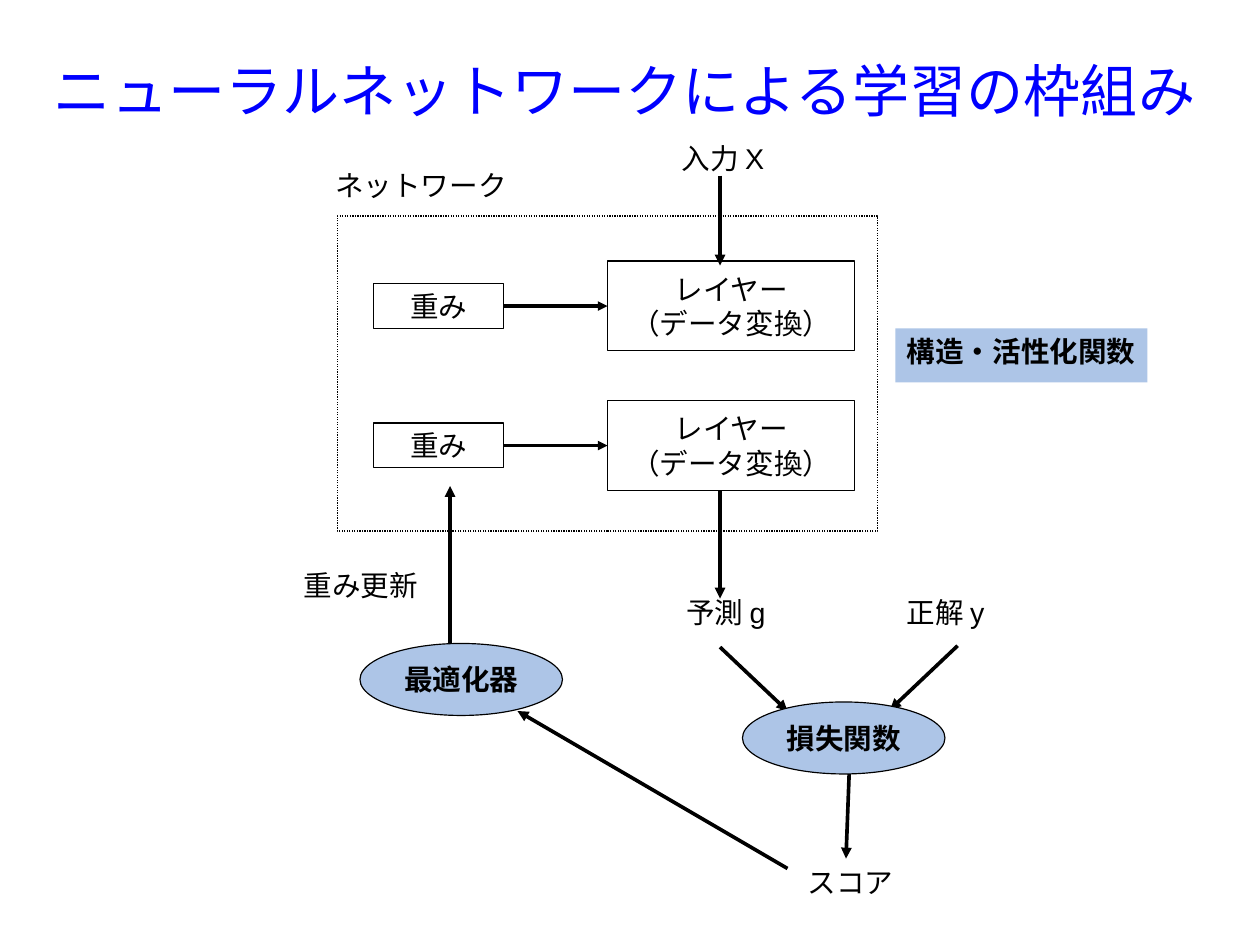
from pptx import Presentation
from pptx import util as u
from pptx.dml.color import RGBColor
from pptx.enum import dml, shapes, text
from pptx.oxml import parse_xml
from pptx.oxml.ns import nsdecls

# Content: lengths are centimetres
TITLE = ("ニューラルネットワークによる学習の枠組み", (1.2, 0.1, 25.8, 3.8))
NETWORK_FRAME = (7.5, 4.8, 12, 7)
LAYER_TEXT, WEIGHT_TEXT = "レイヤー\n（データ変換）", "重み"
LAYER_CENTRES = (6.8, 9.9)
LAYER_LEFT, LAYER_SIZE = 13.5, (5.5, 2)
WEIGHT_LEFT, WEIGHT_SIZE = 8.3, (2.9, 1)
LABELS = [
    ("ネットワーク", (7.2, 3.6, 4.32, 1.2)),
    ("入力 X", (14.9, 3, 2.6, 1.2)),
    ("予測 g", (15, 13.1, 3, 1.2)),
    ("正解 y", (19.9, 13.1, 3, 1.2)),
    ("スコア", (17.7, 19.1, 3, 1.2)),
    ("重み更新", (6.5, 12.5, 3.2, 1.3)),
]
FUNCTIONS = [
    ("損失関数", (16.5, 15.6, 4.5, 1.6)),
    ("最適化器", (8, 14.3, 4.5, 1.6)),
]
STRUCTURE = ("構造・活性化関数", (19.9, 7.3, 5.6, 1.2))
FLOWS = [
    ((16, 3.9), (16, 5.9)),          # input to layer
    ((16, 10.9), (16, 13.3)),        # layer to prediction
    ((16, 14.38), (17.5, 15.8)),     # prediction to loss
    ((21.28, 14.35), (19.78, 15.77)),  # answer to loss
    ((18.87, 17.2), (18.8, 19.08)),  # loss to score
    ((17.5, 19.3), (11.5, 15.8)),    # score to optimizer
    ((10, 14.28), (10, 10.8)),       # optimizer to weights
]

THEME = {
    "font": "Arial",
    "ink": RGBColor(0x00, 0x00, 0x00),
    "title": RGBColor(0x00, 0x00, 0xFF),
    "accent": RGBColor(0xAD, 0xC5, 0xE7),
    "title_size": 36,
    "body_size": 18,
    "hairline": 0,
    "frame_line": 0.79,
    "flow_line": 2.3,
}

deck = Presentation()
deck.slide_width, deck.slide_height = u.Cm(28), u.Cm(21)
page = deck.slides.add_slide(deck.slide_layouts[6])


def write(box, words, size=THEME["body_size"], color=THEME["ink"], bold=False,
          align=text.PP_ALIGN.LEFT, anchor=text.MSO_ANCHOR.TOP, wrap=False, inset=True):
    frame = box.text_frame
    frame.word_wrap = wrap
    frame.vertical_anchor = anchor
    if not inset:
        frame.margin_left = frame.margin_right = 0
        frame.margin_top = frame.margin_bottom = 0
    for number, line in enumerate(words.split("\n")):
        para = frame.add_paragraph() if number else frame.paragraphs[0]
        para.alignment = align
        span = para.add_run()
        span.text = line
        span.font.name = THEME["font"]
        span.font.size = u.Pt(size)
        span.font.bold = bold
        span.font.color.rgb = color


def add_label(words, area, **style):
    write(page.shapes.add_textbox(*map(u.Cm, area)), words, **style)


def add_box(area, kind=shapes.MSO_SHAPE.RECTANGLE, fill=None, width=THEME["hairline"]):
    box = page.shapes.add_shape(kind, *map(u.Cm, area))
    box.shadow.inherit = False
    if fill is None:
        box.fill.background()
    else:
        box.fill.solid()
        box.fill.fore_color.rgb = fill
    if width is None:
        box.line.fill.background()
    else:
        box.line.color.rgb = THEME["ink"]
        box.line.width = u.Pt(width)
    return box


def add_node(words, area, bold=False, **look):
    write(add_box(area, **look), words, bold=bold,
          align=text.PP_ALIGN.CENTER, anchor=text.MSO_ANCHOR.MIDDLE)


def add_arrow(start, end, width):
    arrow = page.shapes.add_connector(shapes.MSO_CONNECTOR.STRAIGHT,
                                      *map(u.Cm, start + end))
    arrow.line.color.rgb = THEME["ink"]
    arrow.line.width = u.Pt(width)
    arrow.line._get_or_add_ln().append(
        parse_xml(f'<a:tailEnd {nsdecls("a")} type="triangle"/>'))
    arrow._element.spPr.append(parse_xml(f'<a:effectLst {nsdecls("a")}/>'))


# Network: each layer is fed by its weights
for centre in LAYER_CENTRES:
    for words, left, (width, height) in ((LAYER_TEXT, LAYER_LEFT, LAYER_SIZE),
                                         (WEIGHT_TEXT, WEIGHT_LEFT, WEIGHT_SIZE)):
        add_node(words, (left, centre - height / 2, width, height))
    add_arrow((WEIGHT_LEFT + WEIGHT_SIZE[0], centre), (LAYER_LEFT, centre),
              THEME["hairline"])
network = add_box(NETWORK_FRAME, width=THEME["frame_line"])
network.line.dash_style = dml.MSO_LINE.ROUND_DOT

# Training loop
for words, area in LABELS:
    add_label(words, area)
for start, end in FLOWS:
    add_arrow(start, end, THEME["flow_line"])
for words, area in FUNCTIONS:
    add_node(words, area, bold=True, kind=shapes.MSO_SHAPE.OVAL, fill=THEME["accent"])

# Title and side note
add_label(*TITLE, size=THEME["title_size"], color=THEME["title"],
          anchor=text.MSO_ANCHOR.MIDDLE, wrap=True, inset=False)
note, note_area = STRUCTURE
write(add_box(note_area, fill=THEME["accent"], width=None), note, bold=True)

deck.save("out.pptx")
